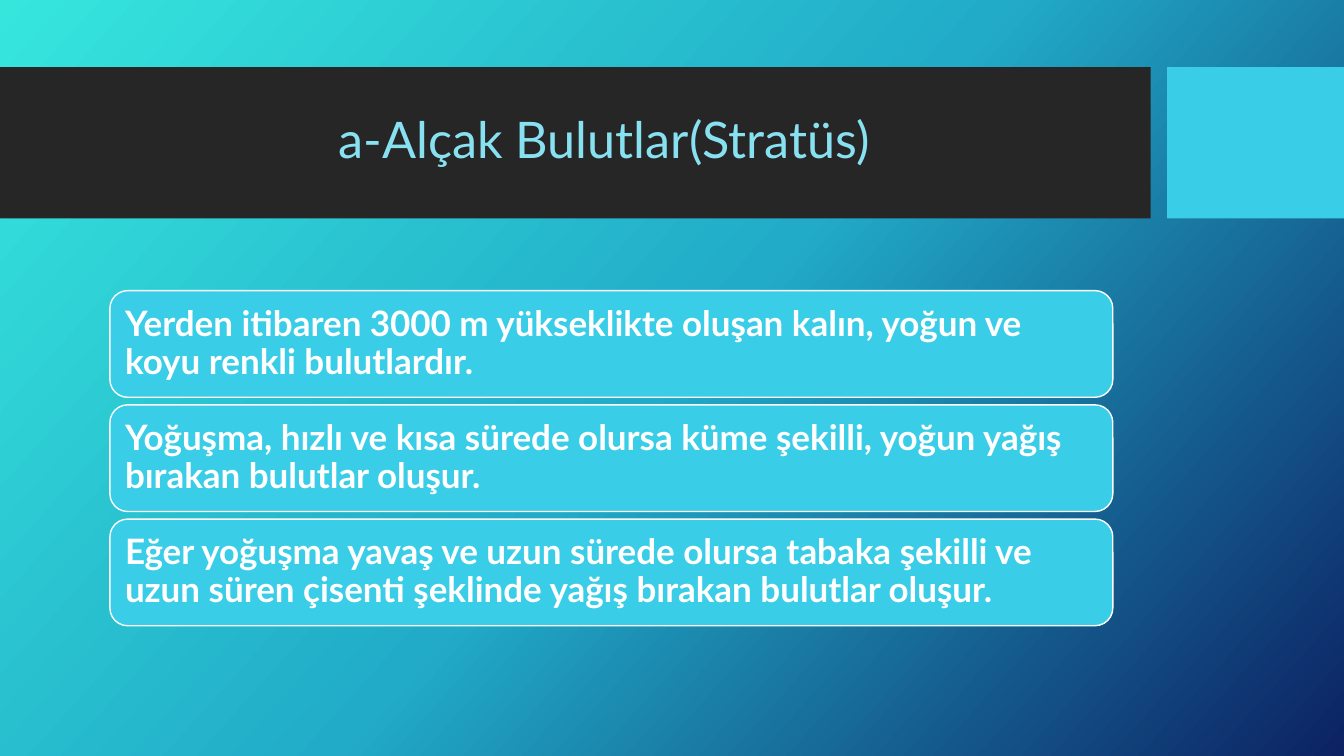
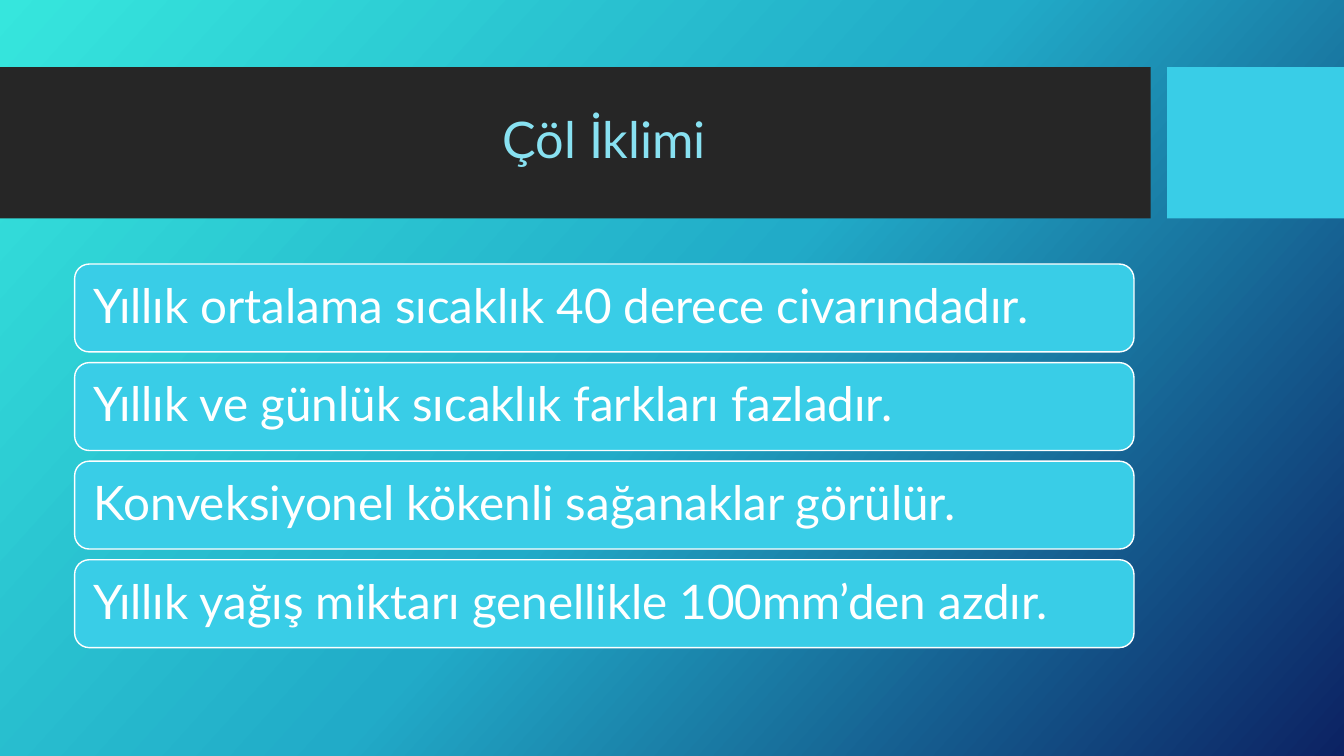
"""Builds two weather and climate slides with stacked text cards."""
from copy import deepcopy
from dataclasses import dataclass

from pptx import Presentation
from pptx.dml.color import RGBColor
from pptx.enum.shapes import MSO_SHAPE
from pptx.enum.text import MSO_ANCHOR, MSO_AUTO_SIZE, PP_ALIGN
from pptx.oxml.ns import qn
from pptx.util import Pt

RECT, ROUNDED = MSO_SHAPE.RECTANGLE, MSO_SHAPE.ROUNDED_RECTANGLE
MIDDLE, NO_FIT = MSO_ANCHOR.MIDDLE, MSO_AUTO_SIZE.NONE
LEFT, CENTER = PP_ALIGN.LEFT, PP_ALIGN.CENTER
TITLE_ONLY = 5


@dataclass(frozen=True)
class Theme:
    font: str = "Lato"
    band: str = "262626"
    accent: str = "39CDE7"
    title: str = "88E1F1"
    white: str = "FFFFFF"
    gradient: tuple = ((0, "36E6DD"), (0.5, "21ABC8"), (1, "0C2263"))
    gradient_angle: int = 42
    title_size: int = 36
    text_size: int = 25
    large_size: int = 34
    line_spacing: float = 0.9


class Deck:
    """Holds the theme, the presentation and the current slide."""

    def __init__(self, theme):
        self.theme = theme
        self.prs = Presentation()
        self.prs.slide_width, self.prs.slide_height = Pt(960), Pt(540)
        self.background()

    def background(self):
        """Gives the slide master a three-stop diagonal gradient."""
        master = self.prs.slide_master
        fill = master.background.fill
        fill.gradient()
        fill.gradient_angle = 360 - self.theme.gradient_angle
        gs_list = master.element.find(".//" + qn("a:gsLst"))
        gs_list.append(deepcopy(gs_list[-1]))
        for stop, (position, color) in zip(fill.gradient_stops, self.theme.gradient):
            stop.position = position
            stop.color.rgb = RGBColor.from_string(color)

    def slide(self, title):
        """Adds a slide with the title on its band."""
        layout = self.prs.slide_layouts[TITLE_ONLY]
        self.s = self.prs.slides.add_slide(layout)
        sp = self.s.shapes.title
        sp.left, sp.top, sp.width, sp.height = Pt(53.3), Pt(59), Pt(756.7), Pt(85)
        self.text(sp, title, self.theme.title_size, self.theme.title, CENTER)
        for left, width, color in ((0, 822, self.theme.band),
                                   (833.6, 126.4, self.theme.accent)):
            band = self.shape(RECT, left, 48, width, 108, color)
            sp.element.addprevious(band.element)

    def shape(self, kind, left, top, width, height, color):
        """Adds a filled shape without line or shadow."""
        sp = self.s.shapes.add_shape(kind, Pt(left), Pt(top), Pt(width), Pt(height))
        sp.shadow.inherit = False
        sp.fill.solid()
        sp.fill.fore_color.rgb = RGBColor.from_string(color)
        sp.line.fill.background()
        return sp

    def text(self, sp, text, size, color, align, bold=False):
        """Writes one formatted paragraph into a shape."""
        tf = sp.text_frame
        tf.word_wrap = True
        tf.auto_size = NO_FIT
        tf.vertical_anchor = MIDDLE
        p = tf.paragraphs[0]
        p.text = text
        p.alignment = align
        p.line_spacing = self.theme.line_spacing
        p.font.name = self.theme.font
        p.font.size = Pt(size)
        p.font.bold = bold
        p.font.color.rgb = RGBColor.from_string(color)

    def cards(self, texts, left, top, width, height, gap, inset, size, bold=False):
        """Stacks rounded text cards with equal gaps."""
        for i, text in enumerate(texts):
            sp = self.shape(ROUNDED, left, top + i * (height + gap),
                            width, height, self.theme.accent)
            sp.line.color.rgb = RGBColor.from_string(self.theme.white)
            sp.line.width = Pt(1)
            tf = sp.text_frame
            tf.margin_left = tf.margin_right = Pt(inset)
            tf.margin_top = tf.margin_bottom = Pt(inset)
            self.text(sp, text, size, self.theme.white, LEFT, bold)


def main():
    theme = Theme()
    deck = Deck(theme)

    deck.slide("a-Alçak Bulutlar(Stratüs)")
    deck.cards(
        ["Yerden itibaren 3000 m yükseklikte oluşan kalın, yoğun ve koyu renkli bulutlardır.",
         "Yoğuşma, hızlı ve kısa sürede olursa küme şekilli, yoğun yağış bırakan bulutlar oluşur.",
         "Eğer yoğuşma yavaş ve uzun sürede olursa tabaka şekilli ve uzun süren çisenti "
         "şeklinde yağış bırakan bulutlar oluşur."],
        left=78.5, top=207.6, width=716.4, height=76.2, gap=5.4, inset=7.2,
        size=theme.text_size, bold=True)

    deck.slide("Çöl İklimi")
    deck.cards(
        ["Yıllık ortalama sıcaklık 40 derece civarındadır.",
         "Yıllık ve günlük sıcaklık farkları fazladır.",
         "Konveksiyonel kökenli sağanaklar görülür.",
         "Yıllık yağış miktarı genellikle 100mm’den azdır."],
        left=53.3, top=188.6, width=756.7, height=62.8, gap=7.6, inset=10.4,
        size=theme.large_size)

    deck.prs.save("out.pptx")


if __name__ == "__main__":
    main()
